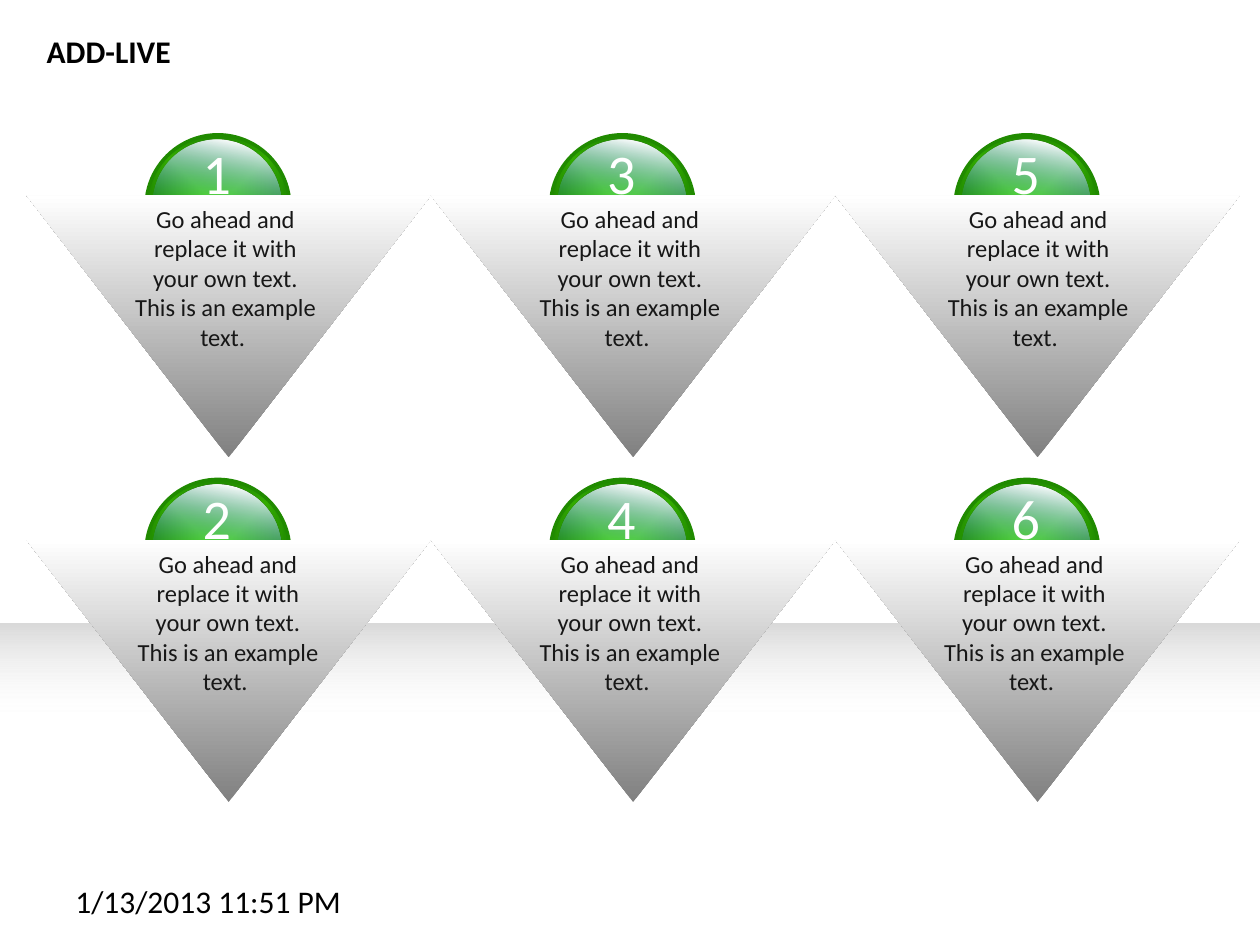
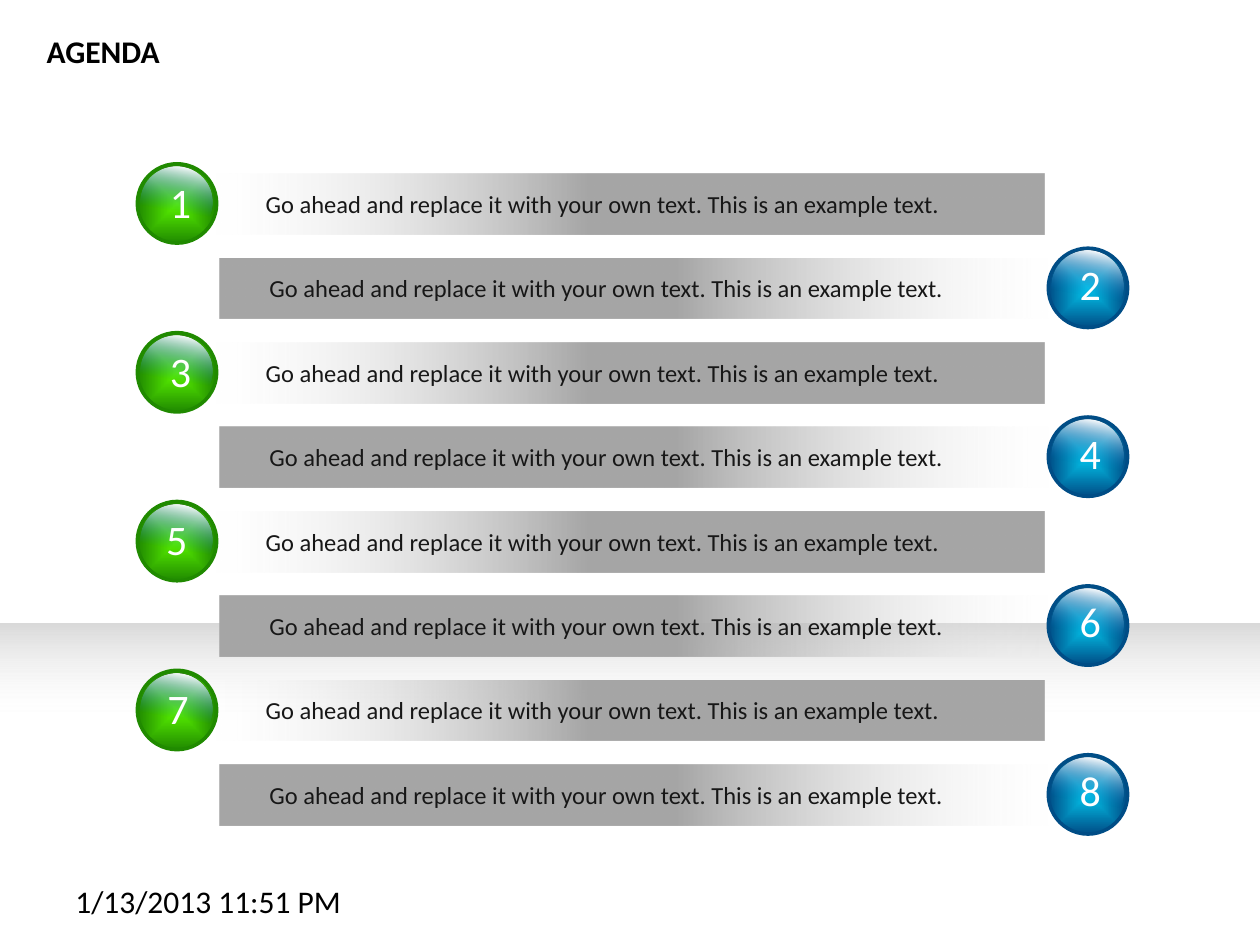
from dataclasses import dataclass

from pptx import Presentation
from pptx.dml.color import RGBColor as Rgb
from pptx.enum.shapes import MSO_SHAPE as Kind
from pptx.enum.text import MSO_ANCHOR as Anchor, PP_ALIGN as Align
from pptx.oxml import parse_xml
from pptx.oxml.ns import nsdecls, qn
from pptx.shapes.autoshape import Shape
from pptx.shapes.shapetree import GroupShapes, SlideShapes
from pptx.slide import Slide
from pptx.util import Inches, Pt

FONT = "Calibri"
BODY = "Go ahead and replace it with your own text. This is an example text."
DATE = "1/13/2013 11:51 PM"
COLORS = {
    "black": "000000",
    "ink": "171717",
    "white": "FFFFFF",
    "mist": "F2F2F2",
    "haze": "D9D9D9",
    "bar": "A6A6A6",
    "steel": "808080",
    "gloss": "0070C0",
    "lime": "5AF300",
    "green": "208A00",
    "sky": "03C6ED",
    "navy": "004D86",
}


@dataclass(frozen=True)
class Stop:
    place: int
    color: str
    alpha: int = 100


@dataclass(frozen=True)
class Box:
    left: float
    top: float
    width: float
    height: float

    def lengths(self) -> list[Inches]:
        return [Inches(v) for v in (self.left, self.top, self.width, self.height)]


@dataclass(frozen=True)
class Ball:
    left: float
    top: float
    size: float
    core: str
    rim: str


@dataclass(frozen=True)
class Label:
    text: str
    box: Box
    size: int


@dataclass(frozen=True)
class Cone:
    col: int
    row: int
    inset: float


@dataclass(frozen=True)
class Side:
    ball: float
    bar: float
    angle: int
    core: str
    rim: str
    lift: float
    width: float
    height: float


BAND = [Stop(61, "white", 0), Stop(100, "haze")]
GLOSS = [Stop(6, "white"), Stop(61, "gloss", 0)]
CONE = [Stop(0, "steel"), Stop(100, "white")]
BAR = [Stop(55, "bar"), Stop(100, "mist", 0)]

CONES = [
    Cone(0, 0, 0.76), Cone(0, 1, 0.78),
    Cone(1, 0, 0.76), Cone(1, 1, 0.76),
    Cone(2, 0, 0.79), Cone(2, 1, 0.76),
]
LEFT = Side(1.09, 1.71, 180, "lime", "green", 0.03, 0.41, 0.52)
RIGHT = Side(8.32, 1.74, 0, "sky", "navy", 0.05, 0.44, 0.5)
DIGITS = [1.25, 8.47, 1.25, 8.47, 1.22, 8.47, 1.23, 8.47]


def shade(shape: Shape, stops: list[Stop], angle: int | None) -> None:
    marks = "".join(
        f'<a:gs pos="{s.place * 1000}"><a:srgbClr val="{COLORS[s.color]}">'
        f'<a:alpha val="{s.alpha * 1000}"/></a:srgbClr></a:gs>'
        for s in stops
    )
    if angle is None:
        way = ('<a:path path="shape"><a:fillToRect l="50000" t="50000" '
               'r="50000" b="50000"/></a:path>')
    else:
        way = f'<a:lin ang="{angle * 60000}" scaled="0"/>'
    shape.fill.background()
    props = shape.element.spPr
    blank = props.find(qn("a:noFill"))
    props.replace(blank, parse_xml(
        f'<a:gradFill {nsdecls("a")} rotWithShape="1">'
        f'<a:gsLst>{marks}</a:gsLst>{way}</a:gradFill>'
    ))


def draw(shapes: SlideShapes | GroupShapes, kind: Kind, box: Box,
         stops: list[Stop], angle: int | None = None, rim: str | None = None) -> Shape:
    shape = shapes.add_shape(kind, *box.lengths())
    shape.shadow.inherit = False
    shade(shape, stops, angle)
    if rim:
        shape.line.color.rgb = Rgb.from_string(COLORS[rim])
        shape.line.width = Pt(2)
    else:
        shape.line.fill.background()
    return shape


def write(shape: Shape, text: str, *, size: int = 18, color: str = "black",
          bold: bool = False, align: Align = Align.LEFT, wrap: bool = True) -> None:
    frame = shape.text_frame
    frame.word_wrap = wrap
    frame.vertical_anchor = Anchor.TOP
    para = frame.paragraphs[0]
    para.alignment = align
    run = para.add_run()
    run.text = text
    run.font.name = FONT
    run.font.size = Pt(size)
    run.font.bold = bold
    run.font.color.rgb = Rgb.from_string(COLORS[color])


def place(shapes: SlideShapes | GroupShapes, box: Box) -> Shape:
    return shapes.add_textbox(*box.lengths())


def orb(shapes: SlideShapes, ball: Ball, label: Label) -> None:
    group = shapes.add_group_shape().shapes
    size = ball.size
    draw(group, Kind.OVAL, Box(ball.left, ball.top, size, size),
         [Stop(0, ball.core), Stop(100, ball.rim)], rim=ball.rim)
    shine = Box(ball.left + size * 0.045, ball.top + size * 0.035,
                size * 0.9, size * 0.9)
    draw(group, Kind.OVAL, shine, GLOSS, 100)
    write(place(group, label.box), label.text, size=label.size, color="white")


def start(deck: Presentation, title: str) -> Slide:
    slide = deck.slides.add_slide(deck.slide_layouts[5])
    head = slide.shapes.title
    head.left, head.top, head.width, head.height = Box(0.27, 0.2, 1.24, 0.4).lengths()
    write(head, title, bold=True, wrap=False)
    write(place(slide.shapes, Box(0.5, 6.95, 2.33, 0.4)), DATE)
    return slide


def add_band(slide: Slide) -> None:
    band = draw(slide.shapes, Kind.RECTANGLE, Box(0, 4.95, 10, 2.02), BAND, 270)
    slide.slide_layout.shapes.element.insert(2, band.element)


def add_cones(slide: Slide) -> None:
    shapes = slide.shapes
    for count, cone in enumerate(CONES, 1):
        left = 0.21 + 3.21 * cone.col
        top = 1.55 + 2.735 * cone.row
        ball = Ball(left + 0.95, top - 0.48, 1.14, "lime", "green")
        digit = Box(left + 1.3, top - 0.5, 0.53, 0.64)
        orb(shapes, ball, Label(str(count), digit, 32))
        draw(shapes, Kind.FLOWCHART_MERGE, Box(left, top, 3.21, 2.08), CONE, 270)
        note = place(shapes, Box(left + cone.inset, top + 0.02, 1.64, 1.28))
        write(note, f"{BODY} ", size=14, color="ink", align=Align.CENTER)


def add_rows(slide: Slide) -> None:
    shapes = slide.shapes
    for index, digit in enumerate(DIGITS):
        side = RIGHT if index % 2 else LEFT
        top = 1.38 + 0.67 * index
        draw(shapes, Kind.RECTANGLE, Box(side.bar, top, 6.58, 0.48), BAR, side.angle)
        note = place(shapes, Box(side.bar + 0.3, top + 0.07, 6.25, 0.34))
        write(note, BODY, size=14, color="ink")
        ball = Ball(side.ball, top - 0.08, 0.63, side.core, side.rim)
        spot = Box(digit, top - side.lift, side.width, side.height)
        orb(shapes, ball, Label(str(index + 1), spot, 24))


def main() -> None:
    deck = Presentation()
    deck.slide_width, deck.slide_height = Inches(10), Inches(7.5)
    first = start(deck, "ADD-LIVE")
    add_band(first)
    add_cones(first)
    add_rows(start(deck, "AGENDA"))
    deck.save("out.pptx")


if __name__ == "__main__":
    main()
